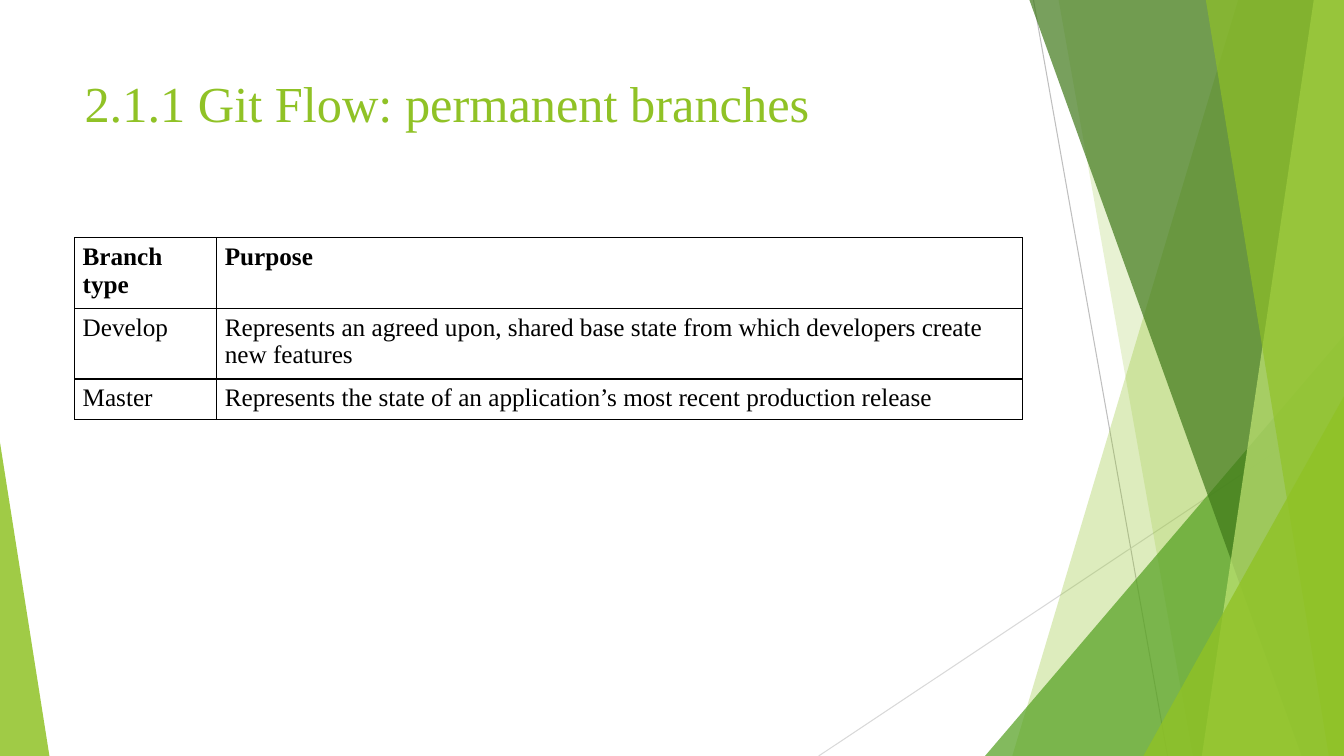
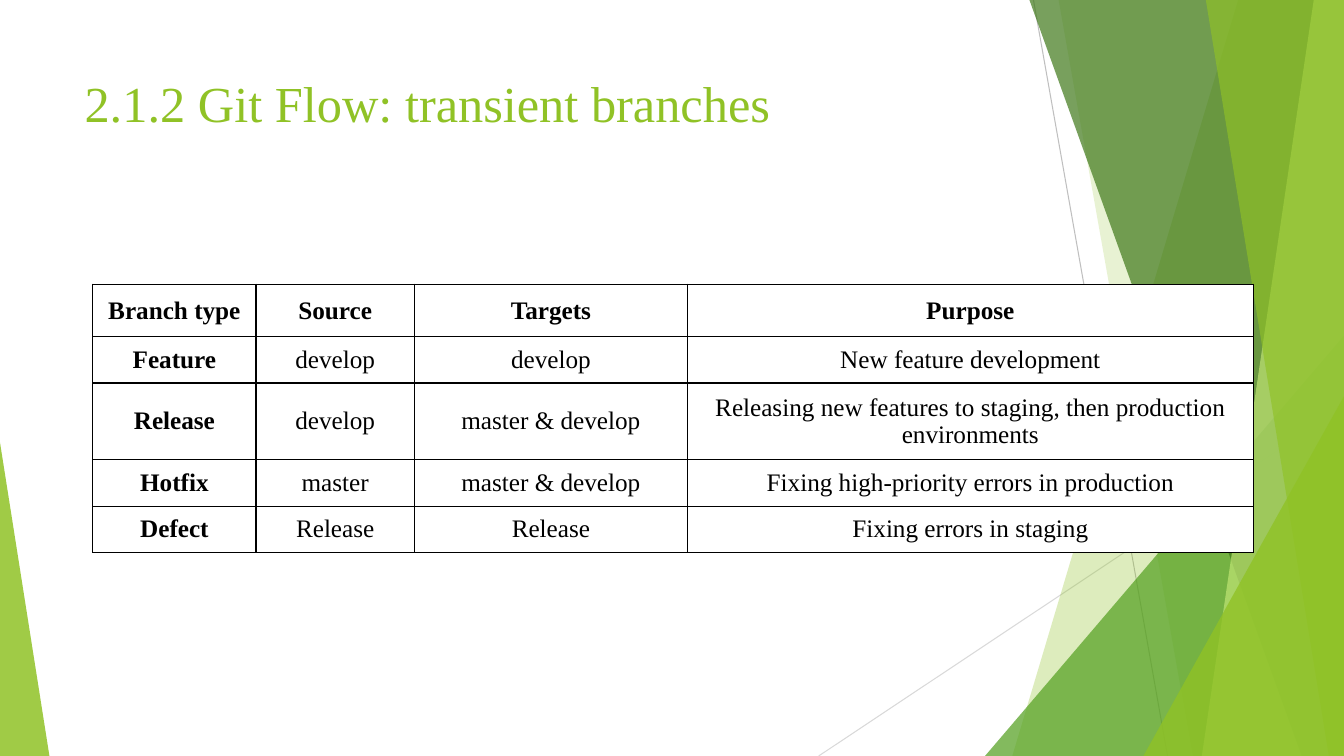
from collections import namedtuple
from dataclasses import dataclass

from lxml.etree import SubElement
from pptx import Presentation
from pptx.dml.color import RGBColor as RGB
from pptx.enum.shapes import MSO_CONNECTOR as CONN, MSO_SHAPE as SHAPE
from pptx.enum.text import MSO_ANCHOR as ANCHOR, PP_ALIGN as ALIGN
from pptx.oxml import parse_xml
from pptx.oxml.ns import nsdecls, qn
from pptx.util import Pt

PX = 9144  # EMU in one px, 100 px to the inch
Box = namedtuple("Box", "x y w h")
SLIDE = Box(0, 0, 1333, 750)
TITLE = Box(74, 67, 940, 144)


@dataclass(frozen=True)
class Theme:
    font: str = "Times New Roman"
    title_size: int = 36
    body_size: int = 18
    rule_width: float = 0.75
    border_width: int = 1
    lime: str = "90C226"
    pale_lime: str = "C0E474"
    green: str = "54A021"
    dark_green: str = "3F7819"
    rule: str = "BFBFBF"
    light_rule: str = "D9D9D9"
    ink: str = "000000"
    paper: str = "FFFFFF"


T = Theme()

RULES = [((1025, 0), (1158, 750), T.rule),
         ((1333, 403), (812, 750), T.light_rule)]

# Bands reach the right edge: left x at the top, left x at the bottom
# Triangles stand on the bottom edge: left, top, width, apex (0 left, 1 right)
FACETS = [((1228, 1004), T.lime, 30),
          ((1050, 1183), T.lime, 20),
          ((977, 333, 356, 1), T.green, 72),
          ((1021, 1291), T.dark_green, 70),
          ((1303, 1192), T.pale_lime, 70),
          ((1196, 1318), T.lime, 65),
          ((1134, 393, 199, 1), T.lime, 80),
          ((0, 439, 49, 0), T.lime, 85)]

PERMANENT = [
    ["Branch type", "Purpose"],
    ["Develop", "Represents an agreed upon, shared base state from which "
                "developers create new features"],
    ["Master", "Represents the state of an application’s most recent "
               "production release"],
]
TRANSIENT = [
    ["Branch type", "Source", "Targets", "Purpose"],
    ["Feature", "develop", "develop", "New feature development"],
    ["Release", "develop", "master & develop",
     "Releasing new features to staging, then production environments"],
    ["Hotfix", "master", "master & develop",
     "Fixing high-priority errors in production"],
    ["Defect", "Release", "Release", "Fixing errors in staging"],
]


def emu(*lengths):
    return [round(v * PX) for v in lengths]


def apply(obj, fmt):
    for name, value in fmt.items():
        setattr(obj, name, value)


def write(tf, text, size, color, bold=False, align=ALIGN.LEFT):
    p = tf.paragraphs[0]
    p.alignment = align
    r = p.add_run()
    r.text = text
    apply(r.font, {"name": T.font, "size": Pt(size), "bold": bold})
    r.font.color.rgb = RGB.from_string(color)


def paint(sp, color, opacity):
    """Flat fill with opacity in percent, no outline and no shadow."""
    sp.shadow.inherit = False
    sp.line.fill.background()
    sp.fill.solid()
    sp.fill.fore_color.rgb = RGB.from_string(color)
    clr = sp.fill._xPr.find(".//" + qn("a:srgbClr"))
    SubElement(clr, qn("a:alpha"), val=str(opacity * 1000))


def add_rule(shapes, box, start, end, color):
    ends = [box.x + start[0], box.y + start[1], box.x + end[0], box.y + end[1]]
    ln = shapes.add_connector(CONN.STRAIGHT, *emu(*ends))
    ln.line.width = Pt(T.rule_width)
    ln.line.color.rgb = RGB.from_string(color)
    SubElement(ln._element.spPr, qn("a:effectLst"))


def add_band(shapes, box, top_x, bottom_x):
    right, bottom = box.x + box.w, box.y + box.h
    fb = shapes.build_freeform(box.x + top_x, box.y, scale=PX)
    fb.add_line_segments([(right, box.y), (right, bottom),
                          (box.x + bottom_x, bottom)])
    return fb.convert_to_shape()


def add_triangle(shapes, box, left, top, width, apex):
    sp = shapes.add_shape(SHAPE.ISOSCELES_TRIANGLE,
                          *emu(box.x + left, box.y + top, width, box.h - top))
    sp.adjustments[0] = apex
    return sp


def add_backdrop(s, box):
    shapes = s.shapes.add_group_shape().shapes
    for rule in RULES:
        add_rule(shapes, box, *rule)
    for outline, color, opacity in FACETS:
        add = add_band if len(outline) == 2 else add_triangle
        paint(add(shapes, box, *outline), color, opacity)


def add_title(s, box, text):
    tf = s.shapes.add_textbox(*emu(*box)).text_frame
    apply(tf, {"word_wrap": True, "vertical_anchor": ANCHOR.TOP})
    write(tf, text, T.title_size, T.lime)


def add_borders(cell):
    tc_pr = cell._tc.get_or_add_tcPr()
    for i, side in enumerate(("lnL", "lnR", "lnT", "lnB")):
        tc_pr.insert(i, parse_xml(
            f'<a:{side} {nsdecls("a")} w="{Pt(T.border_width)}"><a:solidFill>'
            f'<a:srgbClr val="{T.ink}"/></a:solidFill></a:{side}>'))


def add_grid(s, box, rows, widths, heights, head_pad, body_pad,
             centred=False, filled=False, bold_first=False):
    """Bordered table; each pad is (horizontal, vertical) cell padding."""
    frame = s.shapes.add_table(len(rows), len(widths), *emu(*box))
    tbl = frame.table
    apply(tbl, {"first_row": False, "horz_banding": False})
    for col, width in zip(tbl.columns, emu(*widths)):
        col.width = width
    for row, height in zip(tbl.rows, emu(*heights)):
        row.height = height
    for i, texts in enumerate(rows):
        dx, dy = emu(*(body_pad if i else head_pad))
        for j, text in enumerate(texts):
            cell = tbl.cell(i, j)
            apply(cell, {
                "margin_left": dx, "margin_right": dx,
                "margin_top": dy, "margin_bottom": dy,
                "vertical_anchor": ANCHOR.MIDDLE if centred else ANCHOR.TOP})
            if filled:
                cell.fill.solid()
                cell.fill.fore_color.rgb = RGB.from_string(T.paper)
            else:
                cell.fill.background()
            add_borders(cell)
            write(cell.text_frame, text, T.body_size, T.ink,
                  bold=i == 0 or (bold_first and j == 0),
                  align=ALIGN.CENTER if centred else ALIGN.LEFT)


def add_table_slide(prs, title, box, **grid):
    s = prs.slides.add_slide(prs.slide_layouts[6])
    add_backdrop(s, SLIDE)
    add_title(s, TITLE, title)
    add_grid(s, box, **grid)


def main():
    prs = Presentation()
    prs.slide_width, prs.slide_height = emu(SLIDE.w, SLIDE.h)
    add_table_slide(prs, "2.1.1 Git Flow: permanent branches",
                    Box(74, 236, 940, 168), rows=PERMANENT,
                    widths=[141, 799], heights=[65, 65, 38],
                    head_pad=(8, 5), body_pad=(8, 5))
    add_table_slide(prs, "2.1.2 Git Flow: transient branches",
                    Box(92, 282, 1151, 256), rows=TRANSIENT,
                    widths=[162, 157, 271, 561], heights=[49, 45, 72, 45, 45],
                    head_pad=(9, 11), body_pad=(11, 8),
                    centred=True, filled=True, bold_first=True)
    prs.save("out.pptx")


if __name__ == "__main__":
    main()
